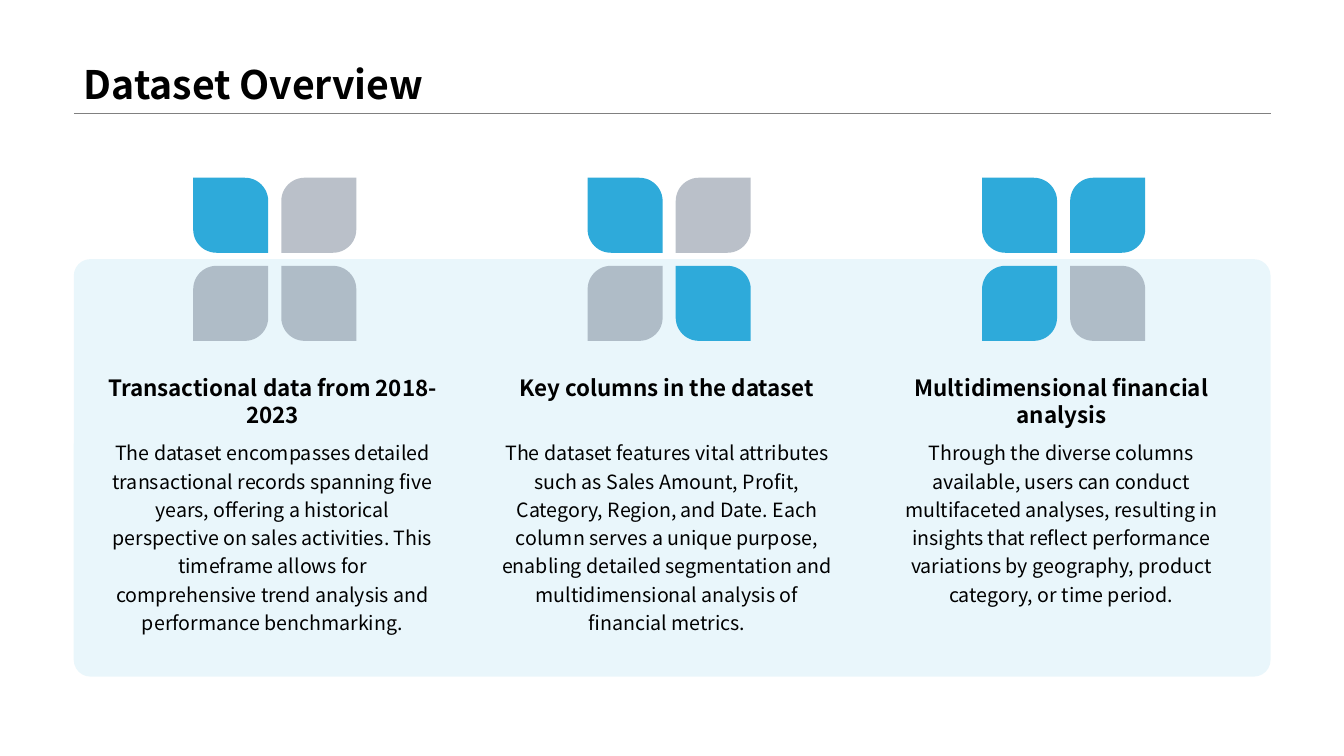
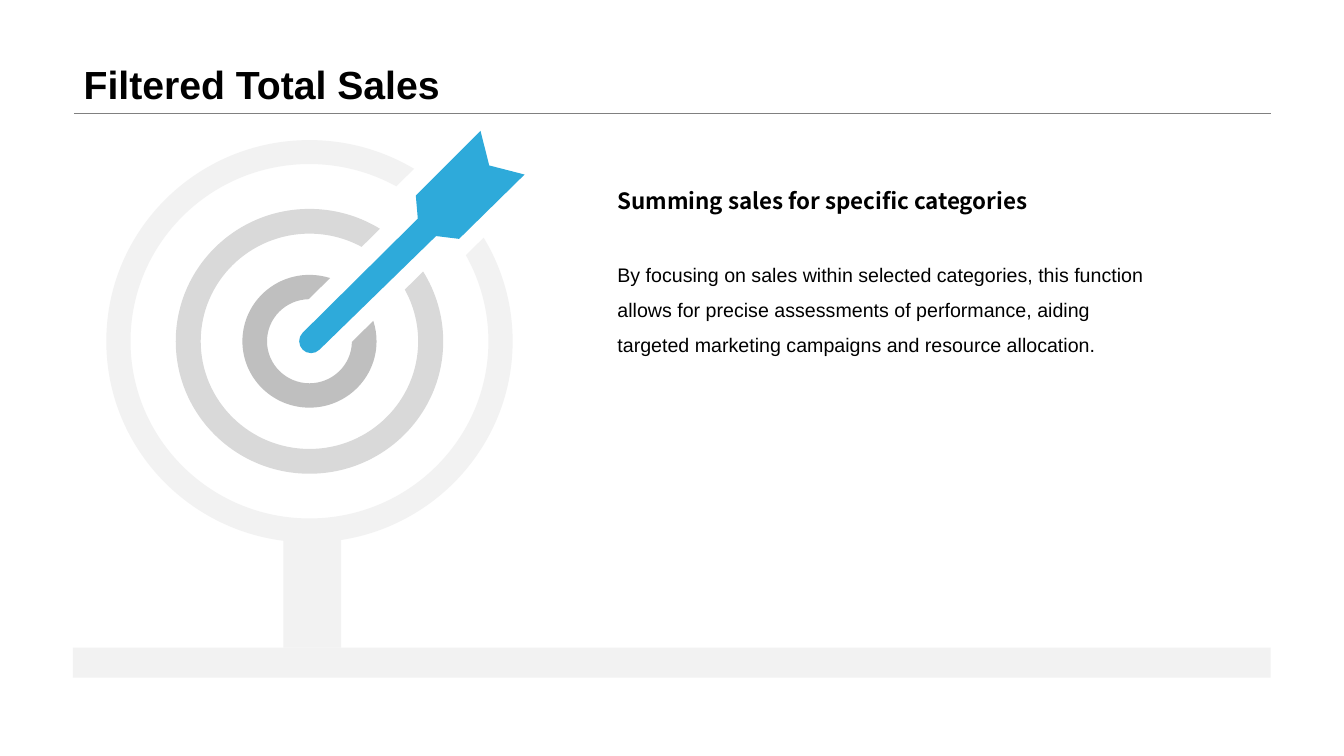
import math

from lxml import etree
from pptx import Presentation
from pptx.dml.color import RGBColor
from pptx.enum import shapes, text
from pptx.oxml import ns
from pptx.util import Cm, Pt

BLACK = RGBColor(0x00, 0x00, 0x00)
BLUE = RGBColor(0x2E, 0xAA, 0xDA)
SLATE = RGBColor(0x76, 0x83, 0x94)
RULE_GRAY = RGBColor(0x80, 0x80, 0x80)
PALE_GRAY = RGBColor(0xF2, 0xF2, 0xF2)
LIGHT_GRAY = RGBColor(0xD9, 0xD9, 0xD9)
MID_GRAY = RGBColor(0xBF, 0xBF, 0xBF)

SANS = "Noto Sans CJK SC"
ARIAL = "Arial"

MARGIN = 1.86
CONTENT_WIDTH = 30.16
TITLE_BOTTOM = 2.84

# Heading, body, and the lit petals (row, column) of each overview column
OVERVIEW = [
    ("Transactional data from 2018-2023",
     "The dataset encompasses detailed transactional records spanning five years, "
     "offering a historical perspective on sales activities. This timeframe allows "
     "for comprehensive trend analysis and performance benchmarking.",
     {(0, 0)}),
    ("Key columns in the dataset",
     "The dataset features vital attributes such as Sales Amount, Profit, Category, "
     "Region, and Date. Each column serves a unique purpose, enabling detailed "
     "segmentation and multidimensional analysis of financial metrics.",
     {(0, 0), (1, 1)}),
    ("Multidimensional financial analysis",
     "Through the diverse columns available, users can conduct multifaceted analyses, "
     "resulting in insights that reflect performance variations by geography, product "
     "category, or time period.",
     {(0, 0), (0, 1), (1, 0)}),
]

# Outer radius, inner radius, half the width of the arrow's gap, colour
RINGS = [
    (3.37, 2.74, 0.77, LIGHT_GRAY),
    (1.69, 1.07, 0.77, MID_GRAY),
    (5.12, 4.51, 1.24, PALE_GRAY),
]
ARROW_HEAD = [(2.73, -3.09), (2.68, -3.67), (4.31, -5.3), (4.53, -4.43),
              (5.42, -4.2), (3.77, -2.58), (3.19, -2.65)]


def paint(shape, color, opacity=None):
    """Give a flat fill without outline or shadow; opacity is in percent."""
    shape.shadow.inherit = False
    shape.line.fill.background()
    shape.fill.solid()
    shape.fill.fore_color.rgb = color
    if opacity is not None:
        tint = shape.fill._xPr.find(".//" + ns.qn("a:srgbClr"))
        etree.SubElement(tint, ns.qn("a:alpha")).set("val", str(opacity * 1000))


def add_block(slide, kind, left, top, width, height, color, opacity=None):
    block = slide.shapes.add_shape(kind, Cm(left), Cm(top), Cm(width), Cm(height))
    paint(block, color, opacity)
    return block


def add_outline(slide, steps, color):
    """Draw a closed outline; a step is (end,) or (control, control, end) in cm."""
    ends = [(Cm(x), Cm(y)) for x, y in (step[-1] for step in steps)]
    builder = slide.shapes.build_freeform(*ends[0], scale=1.0)
    builder.add_line_segments(ends[1:], close=True)
    outline = builder.convert_to_shape()
    segments = list(outline._element.iter(ns.qn("a:lnTo")))
    for segment, (*controls, _) in zip(segments, steps[1:]):
        if controls:
            segment.tag = ns.qn("a:cubicBezTo")
        for index, (x, y) in enumerate(controls):
            point = etree.Element(ns.qn("a:pt"))
            point.set("x", str(Cm(x) - outline.left))
            point.set("y", str(Cm(y) - outline.top))
            segment.insert(index, point)
    paint(outline, color)


def add_text(slide, left, top, width, height, words, size, font=SANS, bold=False,
             align=text.PP_ALIGN.LEFT, anchor=text.MSO_ANCHOR.TOP, spacing=1.0):
    box = slide.shapes.add_textbox(Cm(left), Cm(top), Cm(width), Cm(height))
    frame = box.text_frame
    frame.word_wrap = True
    frame.vertical_anchor = anchor
    frame.text = words
    paragraph = frame.paragraphs[0]
    paragraph.alignment = align
    paragraph.line_spacing = spacing
    style = paragraph.runs[0].font
    style.name, style.size, style.bold = font, Pt(size), bold
    style.color.rgb = BLACK


def add_titled_slide(prs, title, font):
    slide = prs.slides.add_slide(prs.slide_layouts[6])
    rule = slide.shapes.add_connector(
        shapes.MSO_CONNECTOR.STRAIGHT, Cm(MARGIN), Cm(TITLE_BOTTOM),
        Cm(MARGIN + CONTENT_WIDTH), Cm(TITLE_BOTTOM))
    rule.line.color.rgb = RULE_GRAY
    rule.line.width = Pt(0.25)
    etree.SubElement(rule._element.spPr, ns.qn("a:effectLst"))
    add_text(slide, MARGIN, 0, CONTENT_WIDTH, TITLE_BOTTOM, title, 28, font, True,
             anchor=text.MSO_ANCHOR.BOTTOM, spacing=0.9)
    return slide


def add_petals(slide, left, top, lit):
    """Draw four petals whose pointed corners face the centre and the outside."""
    size, pitch = 1.89, 2.22
    for row in range(2):
        for col in range(2):
            color, opacity = (BLUE, None) if (row, col) in lit else (SLATE, 50)
            petal = add_block(slide, shapes.MSO_SHAPE.ROUND_2_DIAG_RECTANGLE,
                              left + col * pitch, top + row * pitch, size, size,
                              color, opacity)
            on_diagonal = row == col
            petal.adjustments[0] = 0 if on_diagonal else 0.31
            petal.adjustments[1] = 0.31 if on_diagonal else 0


def add_overview_column(slide, left, top, width, heading, body, lit):
    add_petals(slide, left + 2.43, top, lit)
    center = text.PP_ALIGN.CENTER
    add_text(slide, left, top + 4.82, width, 0.94, heading, 16, bold=True, align=center)
    add_text(slide, left, top + 6.4, width, 1.83, body, 14, align=center, spacing=1.2)


def build_overview(prs):
    slide = add_titled_slide(prs, "Dataset Overview", SANS)
    panel = add_block(slide, shapes.MSO_SHAPE.ROUNDED_RECTANGLE,
                      MARGIN, 6.53, CONTENT_WIDTH, 10.52, BLUE, 10)
    panel.adjustments[0] = 0.04
    for index, column in enumerate(OVERVIEW):
        add_overview_column(slide, 2.44 + index * 9.94, 4.48, 8.86, *column)


def arc(x, y, radius, start, end, flatten=1.0):
    """Return outline steps along an arc; degrees run clockwise from the right."""
    def place(dx, dy):
        return x + radius * dx, y + radius * flatten * dy

    low, high = sorted((start, end))
    quarters = [angle for angle in range(-90, 361, 90) if low < angle < high]
    stops = [math.radians(angle) for angle in sorted(
        [start, *quarters, end], reverse=start > end)]
    steps = [(place(math.cos(stops[0]), math.sin(stops[0])),)]
    for a, b in zip(stops, stops[1:]):
        pull = 4 / 3 * math.tan((b - a) / 4)
        steps.append((
            place(math.cos(a) - pull * math.sin(a), math.sin(a) + pull * math.cos(a)),
            place(math.cos(b) + pull * math.sin(b), math.sin(b) - pull * math.cos(b)),
            place(math.cos(b), math.sin(b))))
    return steps


def add_ring(slide, x, y, outer, inner, half_gap, color):
    """Draw a ring cut open by a straight band that runs to the upper right."""
    outer_cut, inner_cut = (math.degrees(math.asin(half_gap / radius))
                            for radius in (outer, inner))
    add_outline(slide,
                arc(x, y, outer, outer_cut - 45, 315 - outer_cut, 0.99)
                + arc(x, y, inner, 315 - inner_cut, inner_cut - 45, 0.99), color)


def add_target(slide, x, y, ground):
    """Draw the target centred on x, y, on a post that reaches the ground."""
    post_top = y + 4.99
    add_block(slide, shapes.MSO_SHAPE.RECTANGLE, x - 0.66, post_top,
              1.46, ground - post_top, PALE_GRAY)
    tip = arc(x + 0.04, y, 0.3, 45, 225)
    add_outline(slide, tip + [((x + dx, y + dy),) for dx, dy in ARROW_HEAD], BLUE)
    for ring in RINGS:
        add_ring(slide, x, y, *ring)


def build_filtered_sales(prs):
    slide = add_titled_slide(prs, "Filtered Total Sales", ARIAL)
    ground = 16.32
    add_block(slide, shapes.MSO_SHAPE.RECTANGLE, 1.84, ground, 30.18, 0.76, PALE_GRAY)
    add_target(slide, 7.8, 8.6, ground)
    left, width = 15.31, 13.87
    add_text(slide, left, 4.57, width, 0.94, "Summing sales for specific categories",
             16, bold=True, anchor=text.MSO_ANCHOR.BOTTOM)
    add_text(slide, left, 6.2, width, 7.34,
             "By focusing on sales within selected categories, this function allows for "
             "precise assessments of performance, aiding targeted marketing campaigns "
             "and resource allocation.", 14, ARIAL, spacing=1.5)


def main():
    prs = Presentation()
    prs.slide_width, prs.slide_height = Cm(33.87), Cm(19.05)
    build_overview(prs)
    build_filtered_sales(prs)
    prs.save("out.pptx")


if __name__ == "__main__":
    main()
